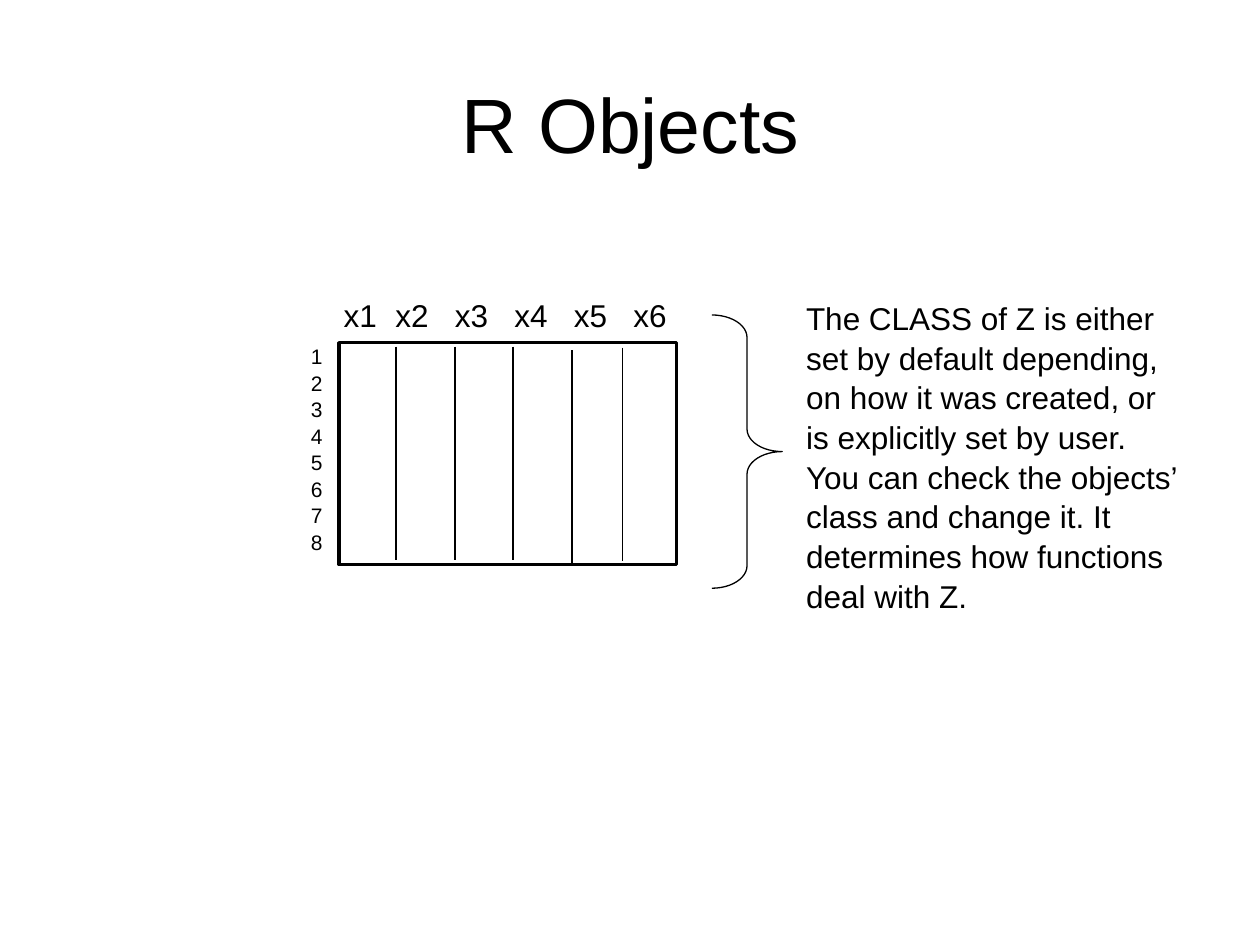
from lxml import etree
from pptx import Presentation
from pptx.dml.color import RGBColor
from pptx.enum.shapes import MSO_CONNECTOR, MSO_SHAPE
from pptx.enum.text import MSO_ANCHOR, PP_ALIGN
from pptx.oxml.ns import qn
from pptx.util import Cm, Pt

RECTANGLE, BRACE = MSO_SHAPE.RECTANGLE, MSO_SHAPE.RIGHT_BRACE
STRAIGHT = MSO_CONNECTOR.STRAIGHT
MIDDLE, TOP = MSO_ANCHOR.MIDDLE, MSO_ANCHOR.TOP
CENTER, LEFT = PP_ALIGN.CENTER, PP_ALIGN.LEFT

COLORS = {"ink": "000000", "paper": "FFFFFF"}
FONT = "Arial"
CLASS_NOTE = (
    "The CLASS of Z is either set by default depending, on how it was created, "
    "or is explicitly set by user. You can check the objects’ class and change it. "
    "It determines how functions deal with Z."
)
# Left edge and top of each line between two columns, in cm
DIVIDERS = [(7.98, 6.99), (9.17, 6.99), (10.34, 6.99), (11.53, 7.06), (12.55, 7.01)]
DIVIDER_HEIGHT = 4.29


def color(name):
    return RGBColor.from_string(COLORS[name])


def set_line(shape, width):
    shape.line.color.rgb = color("ink")
    shape.line.width = Pt(width)


def add_text(shapes, place, text, size, insets=(0.1, 0, 0.1, 0),
             anchor=TOP, align=LEFT, tabs=()):
    """Add a one-paragraph box; place and insets are left, top, then the rest in cm."""
    box = shapes.add_textbox(*map(Cm, place))
    frame = box.text_frame
    frame.word_wrap = True
    frame.vertical_anchor = anchor
    (frame.margin_left, frame.margin_top,
     frame.margin_right, frame.margin_bottom) = map(Cm, insets)
    frame.text = text
    para = frame.paragraphs[0]
    para.alignment = align
    para.line_spacing = 1.05
    if tabs:
        tab_list = etree.SubElement(para._p.get_or_add_pPr(), qn("a:tabLst"))
        for position in tabs:
            etree.SubElement(tab_list, qn("a:tab"), pos=str(Cm(position)), algn="l")
    for span in para.runs:
        span.font.name = FONT
        span.font.size = Pt(size)
        span.font.color.rgb = color("ink")


def add_divider(shapes, left, top):
    line = shapes.add_connector(STRAIGHT, Cm(left), Cm(top),
                                Cm(left), Cm(top + DIVIDER_HEIGHT))
    set_line(line, 0.75)
    etree.SubElement(line._element.spPr, qn("a:effectLst"))


def add_data_frame(page):
    """Draw the framed columns with their column names and row numbers."""
    shapes = page.shapes.add_group_shape().shapes
    frame = shapes.add_shape(RECTANGLE, Cm(6.83), Cm(6.91), Cm(6.81), Cm(4.47))
    frame.shadow.inherit = False
    frame.fill.solid()
    frame.fill.fore_color.rgb = color("paper")
    set_line(frame, 2)
    for left, top in DIVIDERS:
        add_divider(shapes, left, top)
    names = "\t".join(f"x{number}" for number in range(1, 7))
    add_text(shapes, (6.83, 5.92, 7.47, 0.71), names, 18,
             tabs=[1.04 + 1.2 * step for step in range(5)])
    rows = "\v".join(str(number) for number in range(1, 9))
    add_text(shapes, (6.17, 6.91, 1.09, 3.94), rows, 12)


def add_brace(page):
    brace = page.shapes.add_shape(BRACE, Cm(14.35), Cm(6.35), Cm(1.42), Cm(5.51))
    brace.adjustments[0] = 0.32
    brace.shadow.inherit = False
    brace.fill.background()
    set_line(brace, 0.75)


def main():
    deck = Presentation()
    deck.slide_width, deck.slide_height = Cm(25.4), Cm(19.05)
    page = deck.slides.add_slide(deck.slide_layouts[6])
    add_text(page.shapes, (1.27, 0.25, 22.86, 4.19), "R Objects", 44,
             insets=(0.25, 0.3, 0.23, 0.15), anchor=MIDDLE, align=CENTER)
    add_brace(page)
    add_text(page.shapes, (16.15, 5.99, 7.77, 6.27), CLASS_NOTE, 18)
    add_data_frame(page)
    deck.save("out.pptx")


if __name__ == "__main__":
    main()
